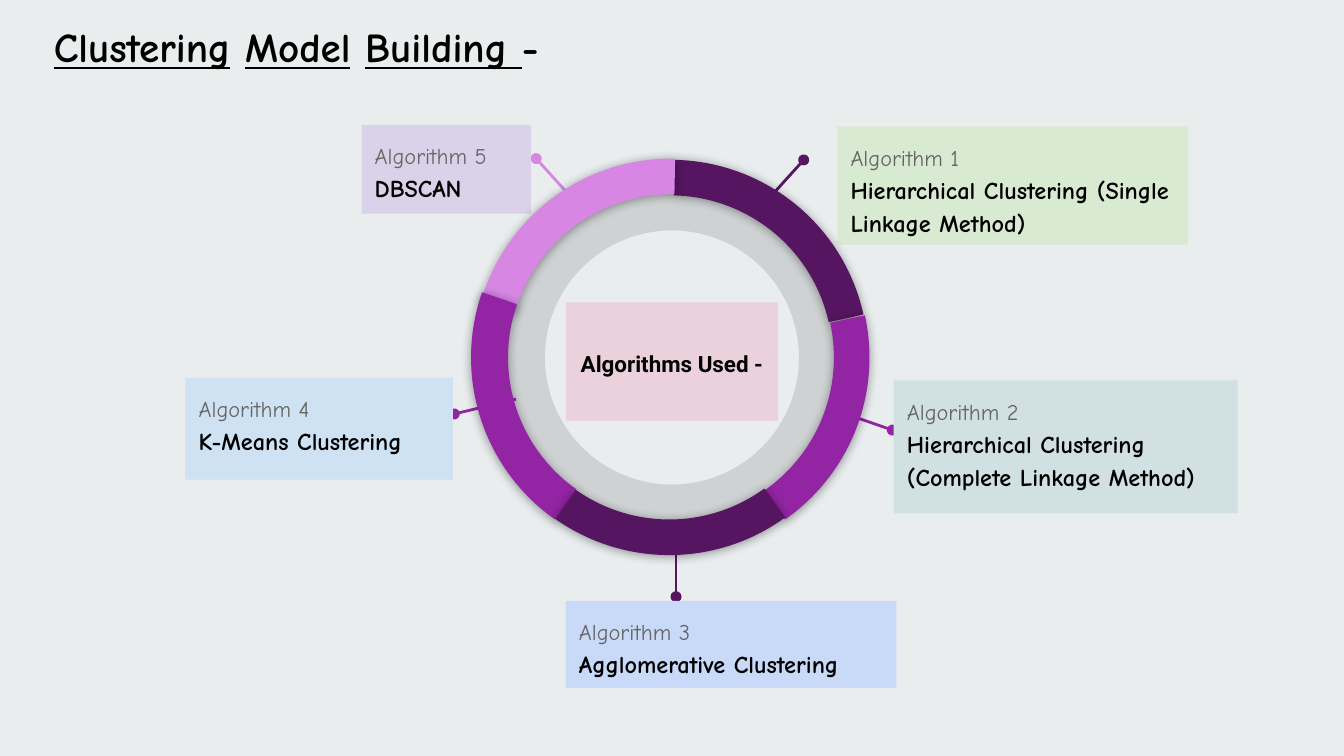
from lxml import etree
from pptx import Presentation
from pptx.dml.color import RGBColor
from pptx.enum.shapes import MSO_CONNECTOR, MSO_SHAPE
from pptx.enum.text import MSO_ANCHOR, MSO_AUTO_SIZE, PP_ALIGN
from pptx.oxml.ns import qn
from pptx.util import Inches, Pt

RECTANGLE = MSO_SHAPE.RECTANGLE
DONUT = MSO_SHAPE.DONUT
BLOCK_ARC = MSO_SHAPE.BLOCK_ARC
STRAIGHT = MSO_CONNECTOR.STRAIGHT
TOP, MIDDLE = MSO_ANCHOR.TOP, MSO_ANCHOR.MIDDLE
LEFT, CENTER = PP_ALIGN.LEFT, PP_ALIGN.CENTER
FIT_SHAPE = MSO_AUTO_SIZE.SHAPE_TO_FIT_TEXT
TITLE_ONLY = 5

DARK, PURPLE, ORCHID = "561561", "9325A5", "D786E4"
BLACK, GRAY = "000000", "666666"
HAND, SANS = "Comic Neue", "Roboto"

CALLOUTS = [
    ("Algorithm 1", "Hierarchical Clustering (Single Linkage Method)",
     (6.23, 0.94, 2.61, 0.88), "D9EAD3", (5.98, 1.19, 5.7, 1.5), DARK),
    ("Algorithm 5", "DBSCAN",
     (2.69, 0.93, 1.26, 0.66), "D9D2E9", (3.99, 1.18, 4.27, 1.49), ORCHID),
    ("Algorithm 2", "Hierarchical Clustering (Complete Linkage Method)",
     (6.65, 2.83, 2.56, 0.99), "D0E0E3", (6.64, 3.2, 6.15, 3.03), PURPLE),
    ("Algorithm 4", "K-Means Clustering",
     (1.38, 2.81, 1.99, 0.76), "CFE2F3", (3.38, 3.08, 3.84, 2.97), PURPLE),
    ("Algorithm 3", "Agglomerative Clustering",
     (4.21, 4.47, 2.46, 0.65), "C9DAF8", (5.03, 4.44, 5.03, 3.91), DARK),
]


def color(value):
    return RGBColor.from_string(value)


def inches(values):
    return [Inches(value) for value in values]


class ClusteringSlide:
    def __init__(self, deck, background):
        self.slide = deck.slides.add_slide(deck.slide_layouts[TITLE_ONLY])
        self.slide.background.fill.solid()
        self.slide.background.fill.fore_color.rgb = color(background)
        self.shapes = self.slide.shapes

    def frame(self, shape, anchor=TOP):
        frame = shape.text_frame
        frame.word_wrap = True
        frame.vertical_anchor = anchor
        frame.margin_left = frame.margin_right = Inches(0.1)
        frame.margin_top = frame.margin_bottom = Inches(0.1)
        return frame

    def style(self, paragraph, size, ink, font=HAND, bold=False, align=LEFT):
        paragraph.alignment = align
        paragraph.font.size = Pt(size)
        paragraph.font.name = font
        paragraph.font.bold = bold
        paragraph.font.color.rgb = color(ink)

    def title(self, pieces, box):
        title = self.shapes.title
        title.left, title.top, title.width, title.height = inches(box)
        frame = self.frame(title)
        frame.auto_size = FIT_SHAPE
        paragraph = frame.paragraphs[0]
        for text, underlined in pieces:
            run = paragraph.add_run()
            run.text = text
            run.font.underline = underlined
        self.style(paragraph, 22, BLACK, bold=True)

    def shape(self, kind, box, fill, parent=None):
        shape = (parent or self.shapes).add_shape(kind, *inches(box))
        shape.shadow.inherit = False
        shape.fill.solid()
        shape.fill.fore_color.rgb = color(fill)
        shape.line.fill.background()
        return shape

    def panel(self, box, fill, lines, anchor=TOP, parent=None):
        frame = self.frame(self.shape(RECTANGLE, box, fill, parent), anchor)
        for index, (text, look) in enumerate(lines):
            paragraph = frame.add_paragraph() if index else frame.paragraphs[0]
            paragraph.text = text
            paragraph.line_spacing = 1.15
            self.style(paragraph, **look)

    def pin(self, ends, ink, parent):
        pin = parent.add_connector(STRAIGHT, *inches(ends))
        pin.line.color.rgb = color(ink)
        pin.line.width = Pt(1.5)
        properties = pin._element.spPr
        etree.SubElement(properties.find(qn("a:ln")), qn("a:headEnd"), type="oval")
        etree.SubElement(properties, qn("a:effectLst"))

    def callout(self, label, method, box, fill, ends, ink):
        group = self.shapes.add_group_shape().shapes
        self.pin(ends, ink, group)
        lines = [(label, dict(size=12, ink=GRAY)),
                 (method, dict(size=13, ink=BLACK, bold=True))]
        self.panel(box, fill, lines, parent=group)

    def ring(self, box, thickness, fill, opacity):
        ring = self.shape(DONUT, box, fill)
        ring.adjustments[0] = thickness
        tint = ring._element.spPr.find(".//" + qn("a:srgbClr"))
        etree.SubElement(tint, qn("a:alpha"), val=str(opacity * 1000))

    def arc(self, left, top, size, rotation, adjustments, fill, flip=False, outline=False):
        arc = self.shape(BLOCK_ARC, (left, top, size, size), fill)
        arc.rotation = rotation
        for index, value in enumerate(adjustments):
            arc.adjustments[index] = value
        if outline:
            arc.line.color.rgb = color(fill)
            arc.line.width = Pt(0.75)
        properties = arc._element.spPr
        if flip:
            properties.find(qn("a:xfrm")).set("flipH", "1")
        shadow = etree.SubElement(
            properties.find(qn("a:effectLst")), qn("a:outerShdw"),
            blurRad=str(Pt(5.6)), dist=str(Pt(0.8)), dir="5400000",
            algn="ctr", rotWithShape="0")
        tint = etree.SubElement(shadow, qn("a:srgbClr"), val=BLACK)
        etree.SubElement(tint, qn("a:alpha"), val="40000")


def main():
    deck = Presentation()
    deck.slide_width = Inches(10)
    deck.slide_height = deck.slide_width * 9 // 16
    page = ClusteringSlide(deck, "E9EDEE")
    page.title([("Clustering", True), (" ", False), ("Model", True), (" ", False),
                ("Building ", True), ("-", False)], (0.3, 0.06, 6.78, 0.57))
    page.ring((3.61, 1.27, 2.78, 2.78), 0.16, BLACK, 11)
    for callout in CALLOUTS:
        page.callout(*callout)
    page.arc(3.52, 1.19, 2.94, 30.8, (144.14, 189.99, 0.09), DARK)
    page.arc(3.53, 1.19, 2.94, 211.4, (201.79, 26.24, 0.09), PURPLE, flip=True)
    heading = dict(size=12, ink="020202", font=SANS, bold=True, align=CENTER)
    page.panel((4.21, 2.25, 1.58, 0.88), "EAD1DC",
               [("Algorithms Used - ", heading)], MIDDLE)
    page.arc(3.52, 1.18, 2.95, 330, (143.34, 188.55, 0.09), ORCHID, flip=True)
    page.arc(3.51, 1.19, 2.94, 148.9, (201.85, 30.07, 0.09), PURPLE, outline=True)
    page.arc(3.51, 1.19, 2.94, 207.5, (157.39, 200.08, 0.09), DARK, flip=True)
    deck.save("out.pptx")


if __name__ == "__main__":
    main()
